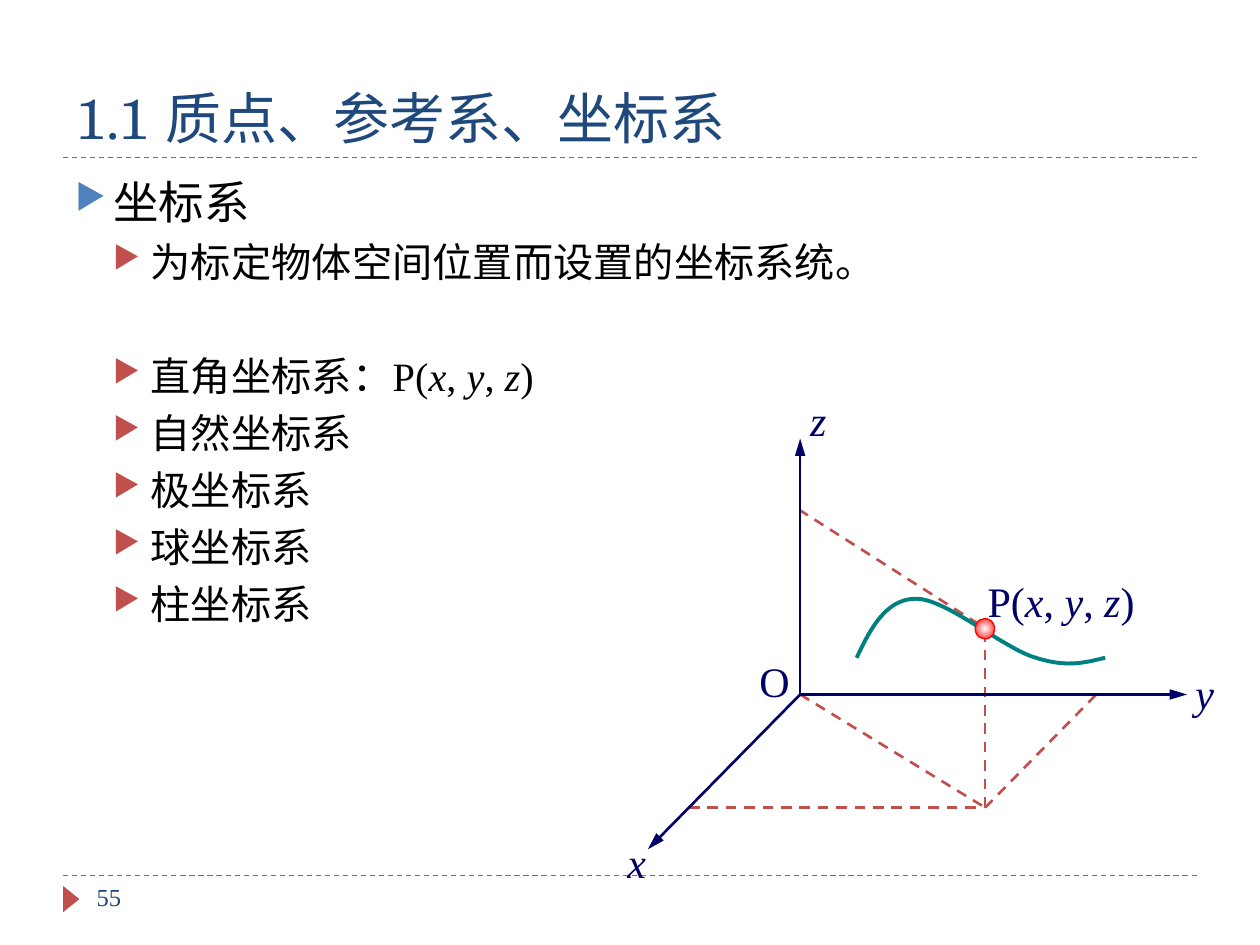
from typing import NamedTuple, Optional

from lxml.etree import SubElement
from pptx import Presentation
from pptx.dml.color import RGBColor
from pptx.enum.dml import MSO_LINE
from pptx.enum.shapes import MSO_CONNECTOR, MSO_SHAPE
from pptx.enum.text import MSO_ANCHOR, MSO_AUTO_SIZE, PP_ALIGN
from pptx.oxml.ns import qn
from pptx.util import Cm, Pt

RED = RGBColor(0xC0, 0x50, 0x4D)
BLUE = RGBColor(0x4F, 0x81, 0xBD)
TITLE_BLUE = RGBColor(0x1F, 0x49, 0x7D)
NAVY = RGBColor(0x00, 0x00, 0x66)
TEAL = RGBColor(0x00, 0x80, 0x80)
BLACK = RGBColor(0, 0, 0)
WHITE = RGBColor(0xFF, 0xFF, 0xFF)
BRIGHT_RED = RGBColor(0xFF, 0, 0)
SERIF = "Times New Roman"

Point = tuple[float, float]


class Run(NamedTuple):
    text: str
    italic: bool = False


class Segment(NamedTuple):
    start: Point
    end: Point


class Label(NamedTuple):
    runs: list[Run]
    left: float
    top: float
    width: float
    wrap: bool = False


class Bullet(NamedTuple):
    runs: list[Run]
    level: int = 1
    before: float = 5


POINT_P = [Run("P("), Run("x", True), Run(", "), Run("y", True),
           Run(", "), Run("z", True), Run(")")]

BULLETS = [
    Bullet([Run("坐标系")], level=0, before=0),
    Bullet([Run("为标定物体空间位置而设置的坐标系统。")]),
    Bullet([Run("直角坐标系："), *POINT_P], before=37.5),
    Bullet([Run("自然坐标系")]),
    Bullet([Run("极坐标系")]),
    Bullet([Run("球坐标系")]),
    Bullet([Run("柱坐标系")]),
]

# Diagram points, in centimetres
ORIGIN = (16.13, 14.0)
FOOT = (19.86, 16.28)
AXES = [Segment(ORIGIN, end) for end in ((23.93, 14.0), (16.13, 8.84), (13.06, 17.12))]
PROJECTIONS = [
    Segment((13.89, 16.28), (19.74, 16.28)),
    Segment(FOOT, (22.1, 14.0)),
    Segment(FOOT, (19.86, 12.85)),
    Segment(ORIGIN, FOOT),
    Segment((20.04, 12.78), (16.13, 10.29)),
]
LABELS = [
    Label(POINT_P, 19.66, 11.48, 4.27, wrap=True),
    Label([Run("z", True)], 16.08, 7.82, 0.84),
    Label([Run("y", True)], 23.85, 13.34, 0.89),
    Label([Run("x", True)], 12.4, 16.74, 0.89),
    Label([Run("O")], 15.06, 13.08, 1.12),
]
# Bezier pieces of the trajectory: two controls and an end each
CURVE_START = (17.27, 13.26)
CURVE = [
    ((17.55, 12.67), (17.86, 12.07), (18.47, 12.07)),
    ((19.08, 12.07), (20.24, 13.08), (20.88, 13.26)),
    ((21.51, 13.46), (21.87, 13.36), (22.28, 13.26)),
]


def add_line(s, seg: Segment, color: RGBColor, width: float,
             dashed: bool = False, arrow: bool = False) -> None:
    line = s.shapes.add_connector(MSO_CONNECTOR.STRAIGHT,
                                  *map(Cm, seg.start + seg.end))
    line.line.color.rgb = color
    line.line.width = Pt(width)
    if dashed:
        line.line.dash_style = MSO_LINE.DASH
    if arrow:
        SubElement(line.line._get_or_add_ln(), qn("a:tailEnd"),
                   type="triangle", w="med", len="lg")
    SubElement(line._element.spPr, qn("a:effectLst"))


def add_runs(p, runs: list[Run], size: float, color: RGBColor, font: str = SERIF) -> None:
    for run in runs:
        r = p.add_run()
        r.text = run.text
        r.font.name = font
        r.font.size = Pt(size)
        r.font.italic = run.italic
        r.font.color.rgb = color


def add_text_box(s, left: float, top: float, width: float, height: float,
                 wrap: bool = True):
    tf = s.shapes.add_textbox(Cm(left), Cm(top), Cm(width), Cm(height)).text_frame
    tf.word_wrap = wrap
    return tf


def add_label(s, label: Label) -> None:
    tf = add_text_box(s, label.left, label.top, label.width, 1.27, label.wrap)
    add_runs(tf.paragraphs[0], label.runs, 24, NAVY)


def format_bullet(p, level: int, color: RGBColor) -> None:
    pPr = p._p.get_or_add_pPr()
    pPr.set("marL", str(Cm(0.76 * (level + 1))))
    pPr.set("indent", str(-Cm(0.76)))
    clr = SubElement(pPr, qn("a:buClr"))
    SubElement(clr, qn("a:srgbClr"), val=str(color))
    SubElement(pPr, qn("a:buSzPct"), val="76000")
    SubElement(pPr, qn("a:buChar"), char="▶")


def add_bullets(s, bullets: list[Bullet]) -> None:
    tf = add_text_box(s, 1.27, 3.38, 22.86, 13.72)
    for i, bullet in enumerate(bullets):
        p = tf.add_paragraph() if i else tf.paragraphs[0]
        p.level = bullet.level
        format_bullet(p, bullet.level, RED if bullet.level else BLUE)
        p.space_before = Pt(bullet.before)
        add_runs(p, bullet.runs, 23 if bullet.level else 26, BLACK)


def add_shape(s, kind: MSO_SHAPE, left: float, top: float, width: float,
              height: float, color: RGBColor, outline: Optional[RGBColor] = None):
    sp = s.shapes.add_shape(kind, Cm(left), Cm(top), Cm(width), Cm(height))
    sp.shadow.inherit = False
    sp.fill.solid()
    sp.fill.fore_color.rgb = color
    if outline is None:
        sp.line.fill.background()
    else:
        sp.line.color.rgb = outline
        sp.line.width = Pt(0.75)
    return sp


def bezier(p0: Point, p1: Point, p2: Point, p3: Point, steps: int = 20) -> list[Point]:
    points = []
    for i in range(1, steps + 1):
        t = i / steps
        u = 1 - t
        points.append(tuple(u**3 * a + 3 * u * u * t * b + 3 * u * t * t * c + t**3 * d
                            for a, b, c, d in zip(p0, p1, p2, p3)))
    return points


def add_trajectory(s) -> None:
    points, start = [], CURVE_START
    for piece in CURVE:
        points += bezier(start, *piece)
        start = piece[-1]
    builder = s.shapes.build_freeform(*map(Cm, CURVE_START))
    builder.add_line_segments([(Cm(x), Cm(y)) for x, y in points], close=False)
    sp = builder.convert_to_shape()
    sp.shadow.inherit = False
    sp.fill.background()
    sp.line.color.rgb = TEAL
    sp.line.width = Pt(2.25)


def add_particle(s) -> None:
    sp = add_shape(s, MSO_SHAPE.OVAL, 19.66, 12.47, 0.39, 0.41, BRIGHT_RED, BRIGHT_RED)
    sp.fill.gradient()
    for stop, position, color in zip(sp.fill.gradient_stops, (0, 1), (WHITE, BRIGHT_RED)):
        stop.position = position
        stop.color.rgb = color
    grad = sp._element.spPr.find(qn("a:gradFill"))
    grad.remove(grad.find(qn("a:lin")))
    radial = SubElement(grad, qn("a:path"), path="circle")
    SubElement(radial, qn("a:fillToRect"), l="50000", t="50000", r="50000", b="50000")


def main() -> None:
    prs = Presentation()
    prs.slide_width, prs.slide_height = Cm(25.4), Cm(19.05)
    s = prs.slides.add_slide(prs.slide_layouts[5])

    # Rules, footer marker and slide number
    for y in (17.65, 3.18):
        add_line(s, Segment((1.27, y), (24.13, y)), RED, 0.75, dashed=True)
    add_shape(s, MSO_SHAPE.ISOSCELES_TRIANGLE, 1.17, 17.96, 0.53, 0.33, RED).rotation = 90
    add_runs(add_text_box(s, 1.7, 17.65, 5.51, 1.02).paragraphs[0],
             [Run("55")], 14, TITLE_BLUE)

    # Title
    title = s.shapes.title
    title.left, title.top, title.width, title.height = map(Cm, (1.27, 0.43, 22.86, 2.74))
    tf = title.text_frame
    tf.auto_size = MSO_AUTO_SIZE.NONE
    tf.vertical_anchor = MSO_ANCHOR.BOTTOM
    tf.paragraphs[0].alignment = PP_ALIGN.LEFT
    add_runs(tf.paragraphs[0], [Run("1.1 质点、参考系、坐标系")], 32, TITLE_BLUE,
             "TeX Gyre Schola")

    add_bullets(s, BULLETS)

    # Coordinate diagram
    for seg in PROJECTIONS:
        add_line(s, seg, RED, 1.5, dashed=True)
    for seg in AXES:
        add_line(s, seg, NAVY, 1.5, arrow=True)
    for label in LABELS:
        add_label(s, label)
    add_trajectory(s)
    add_particle(s)

    prs.save("out.pptx")


if __name__ == "__main__":
    main()
